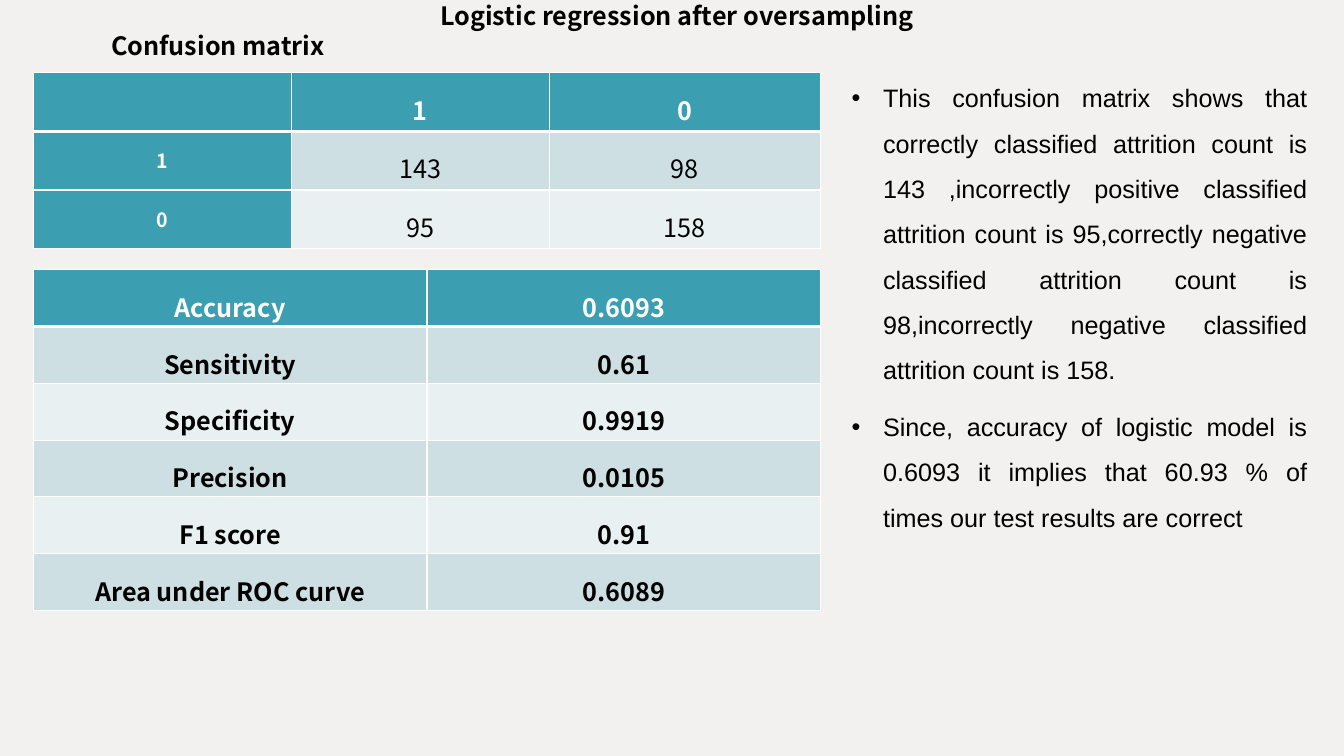
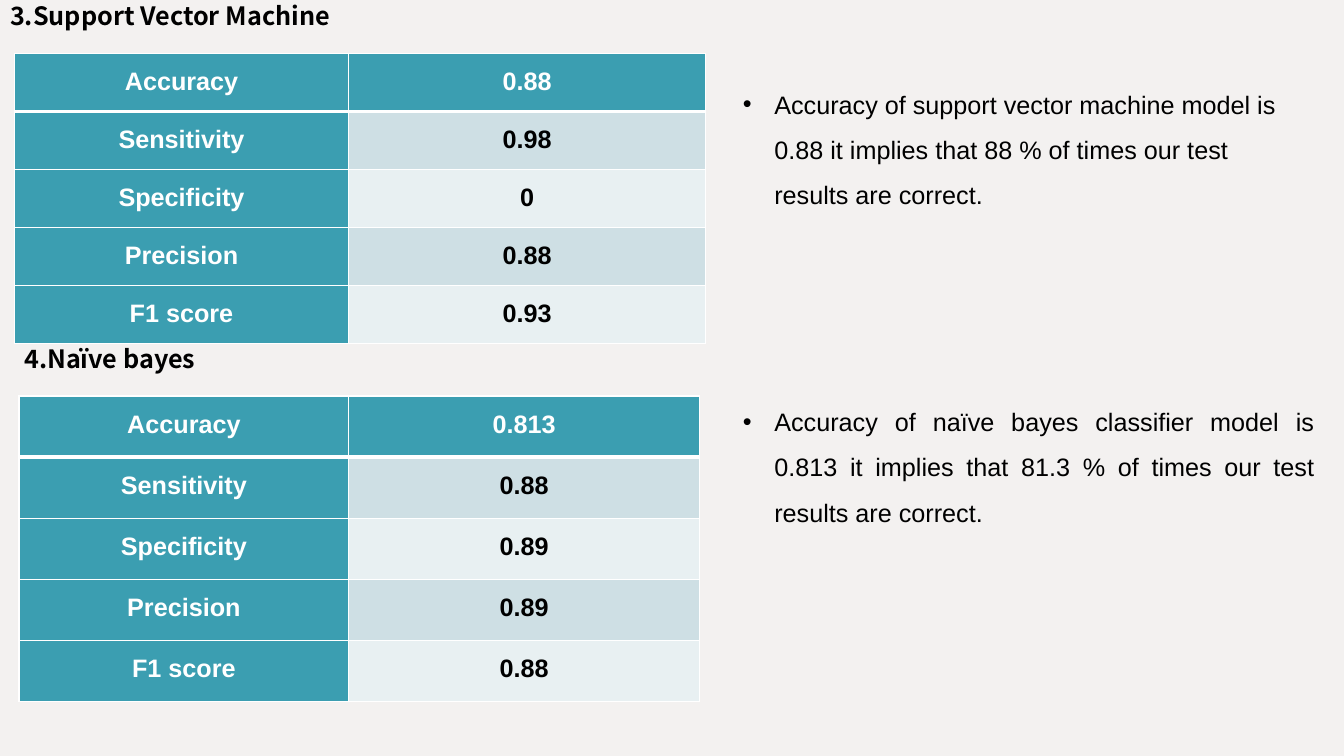
from dataclasses import dataclass

from lxml import etree
from pptx import Presentation
from pptx import util as u
from pptx.dml.color import RGBColor
from pptx.enum import text as t
from pptx.oxml.ns import qn


@dataclass(frozen=True)
class Theme:
    page: str = "F3F1F0"
    teal: str = "3B9EB1"
    band: str = "CEDFE4"
    pale: str = "E8F0F2"
    ink: str = "000000"
    white: str = "FFFFFF"
    head: str = "Noto Sans CJK JP"
    body: str = "Arial"
    size: int = 18
    small: int = 14


LOOK = Theme()
LEFT, MID, JUST = t.PP_ALIGN.LEFT, t.PP_ALIGN.CENTER, t.PP_ALIGN.JUSTIFY


def write(frame, *lines, font=LOOK.body, size=LOOK.size, color=LOOK.ink,
          bold=False, align=LEFT, space=1.5, after=0, hang=0):
    for i, line in enumerate(lines):
        para = frame.add_paragraph() if i else frame.paragraphs[0]
        para.alignment = align
        para.line_spacing = space
        para.space_before = u.Pt(0)
        para.space_after = u.Pt(after)
        if hang:
            props = para._p.get_or_add_pPr()
            props.set("marL", str(u.Cm(hang)))
            props.set("indent", str(-u.Cm(hang)))
            etree.SubElement(props, qn("a:buFont"), typeface=LOOK.body)
            etree.SubElement(props, qn("a:buChar"), char="•")
        run = para.add_run()
        run.text = line
        run.font.name = font
        run.font.size = u.Pt(size)
        run.font.bold = bold
        run.font.color.rgb = RGBColor.from_string(color)


def place(shape, left, top, width, height):
    shape.left, shape.top = u.Cm(left), u.Cm(top)
    shape.width, shape.height = u.Cm(width), u.Cm(height)
    frame = shape.text_frame
    frame.word_wrap = True
    frame.auto_size = t.MSO_AUTO_SIZE.NONE
    frame.vertical_anchor = t.MSO_ANCHOR.TOP
    return frame


def title(shape, line, box, align=LEFT):
    write(place(shape, *box), line, font=LOOK.head, bold=True,
          align=align, space=0.85)


def label(slide, line, box):
    title(slide.shapes.add_textbox(0, 0, 0, 0), line, box)


def notes(shape, lines, box, align=JUST, after=0):
    write(place(shape, *box), *lines, align=align, after=after, hang=0.79)


def edge(cell, side, width):
    line = etree.SubElement(cell._tc.get_or_add_tcPr(), qn("a:ln" + side),
                            w=str(u.Pt(width)))
    fill = etree.SubElement(line, qn("a:solidFill"))
    etree.SubElement(fill, qn("a:srgbClr"), val=LOOK.white)


def paint(cell, row, head):
    for side in "LRTB":
        thick = (row, side) in ((0, "B"), (1, "T"))
        edge(cell, side, 3 if thick else 1)
    tone = LOOK.teal if head else LOOK.band if row % 2 else LOOK.pale
    cell.fill.solid()
    cell.fill.fore_color.rgb = RGBColor.from_string(tone)
    cell.margin_left = cell.margin_right = u.Cm(0.18)
    cell.margin_top = cell.margin_bottom = 0
    cell.vertical_anchor = t.MSO_ANCHOR.TOP


def grid(slide, rows, left, top, cols, high, font=LOOK.body,
         side=True, bold=True, small=LOOK.size):
    table = slide.shapes.add_table(
        len(rows), len(cols), u.Cm(left), u.Cm(top),
        u.Cm(sum(cols)), u.Cm(high * len(rows))).table
    table.horz_banding = False
    table.first_col = side
    for col, width in zip(table.columns, cols):
        col.width = u.Cm(width)
    for r, row in enumerate(rows):
        table.rows[r].height = u.Cm(high)
        for c, value in enumerate(row):
            cell = table.cell(r, c)
            stub = side and c == 0
            head = r == 0 or stub
            paint(cell, r, head)
            if value:
                write(cell.text_frame, value, font=font, align=MID, after=8,
                      size=small if stub else LOOK.size,
                      bold=head or bold,
                      color=LOOK.white if head else LOOK.ink)


def scores(*values):
    names = ("Accuracy", "Sensitivity", "Specificity", "Precision",
             "F1 score", "Area under ROC curve")
    return list(zip(names, values))


def logit(deck):
    slide = deck.slides.add_slide(deck.slide_layouts[1])
    head, body = slide.placeholders
    title(head, "Logistic regression after oversampling",
          (0.88, 0, 32.36, 0.9), MID)
    label(slide, "Confusion matrix", (2.55, 0.76, 8, 1))
    grid(slide, [("", "1", "0"), ("1", "143", "98"), ("0", "95", "158")],
         0.84, 1.83, (6.5, 6.5, 6.84), 1.48, font=LOOK.head,
         bold=False, small=LOOK.small)
    grid(slide, scores("0.6093", "0.61", "0.9919", "0.0105", "0.91", "0.6089"),
         0.84, 6.8, (9.92, 9.92), 1.43, font=LOOK.head, side=False)
    notes(body, (
        "This confusion matrix shows that correctly classified attrition "
        "count is 143 ,incorrectly positive classified attrition count is "
        "95,correctly negative classified attrition count is 98,incorrectly "
        "negative classified attrition count is 158.",
        "Since, accuracy of logistic model is 0.6093 it implies that "
        "60.93 % of times our test results are correct",
    ), (21.21, 1.57, 11.99, 13.39), after=8)


def rivals(deck):
    slide = deck.slides.add_slide(deck.slide_layouts[3])
    head, upper, lower = slide.placeholders
    title(head, "3.Support Vector Machine", (0, 0, 33.5, 1.2))
    grid(slide, scores("0.88", "0.98", "0", "0.88", "0.93"),
         0.36, 1.35, (8.43, 8.99), 1.46)
    label(slide, "4.Naïve bayes", (0.36, 8.64, 24.38, 1.2))
    grid(slide, scores("0.813", "0.88", "0.89", "0.89", "0.88"),
         0.48, 9.98, (8.31, 8.84), 1.54)
    notes(upper, (
        "Accuracy of support vector machine model is 0.88 it implies that "
        "88 % of times our test results are correct.",
    ), (18.47, 1.73, 14.5, 4.5), LEFT)
    notes(lower, (
        "Accuracy of naïve bayes classifier model is 0.813 it implies that "
        "81.3 % of times our test results are correct.",
    ), (18.47, 9.73, 14.91, 4.5))


def main():
    deck = Presentation()
    deck.slide_width, deck.slide_height = u.Cm(33.87), u.Cm(19.05)
    fill = deck.slide_master.background.fill
    fill.solid()
    fill.fore_color.rgb = RGBColor.from_string(LOOK.page)
    logit(deck)
    rivals(deck)
    deck.save("out.pptx")


if __name__ == "__main__":
    main()
